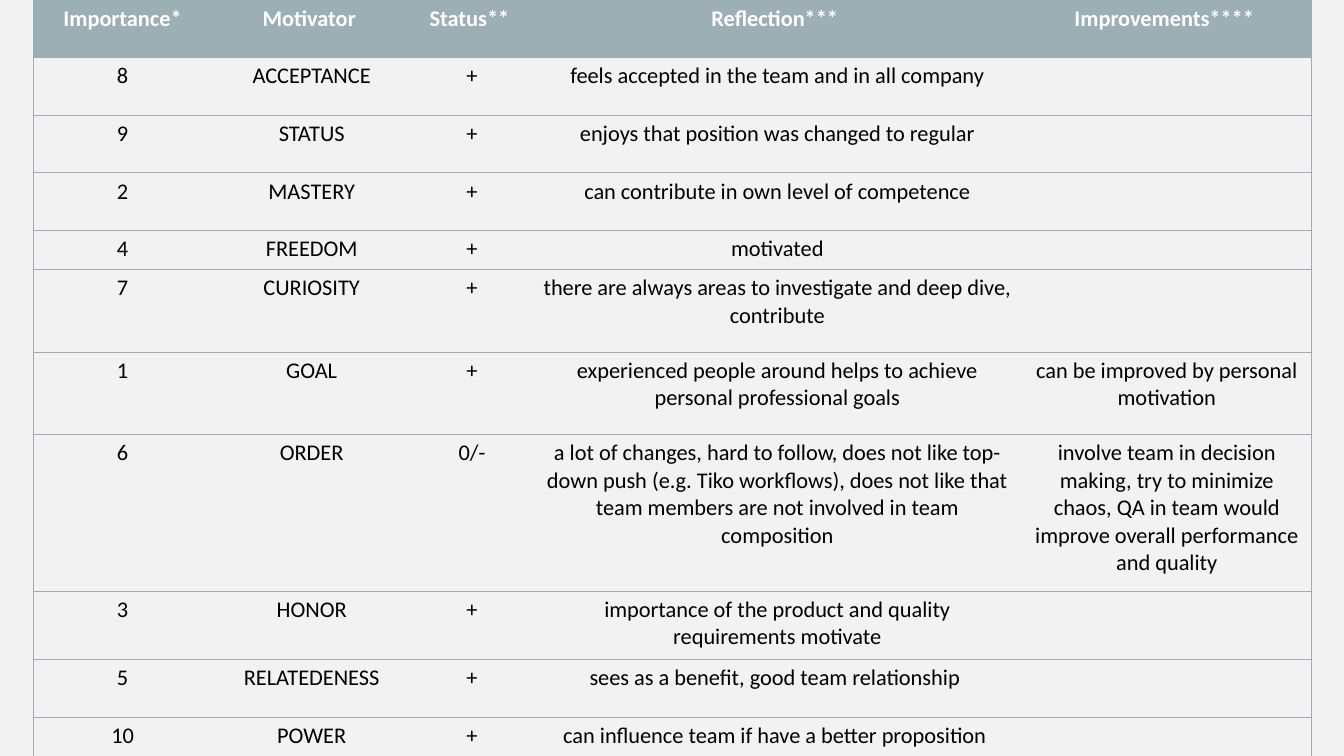
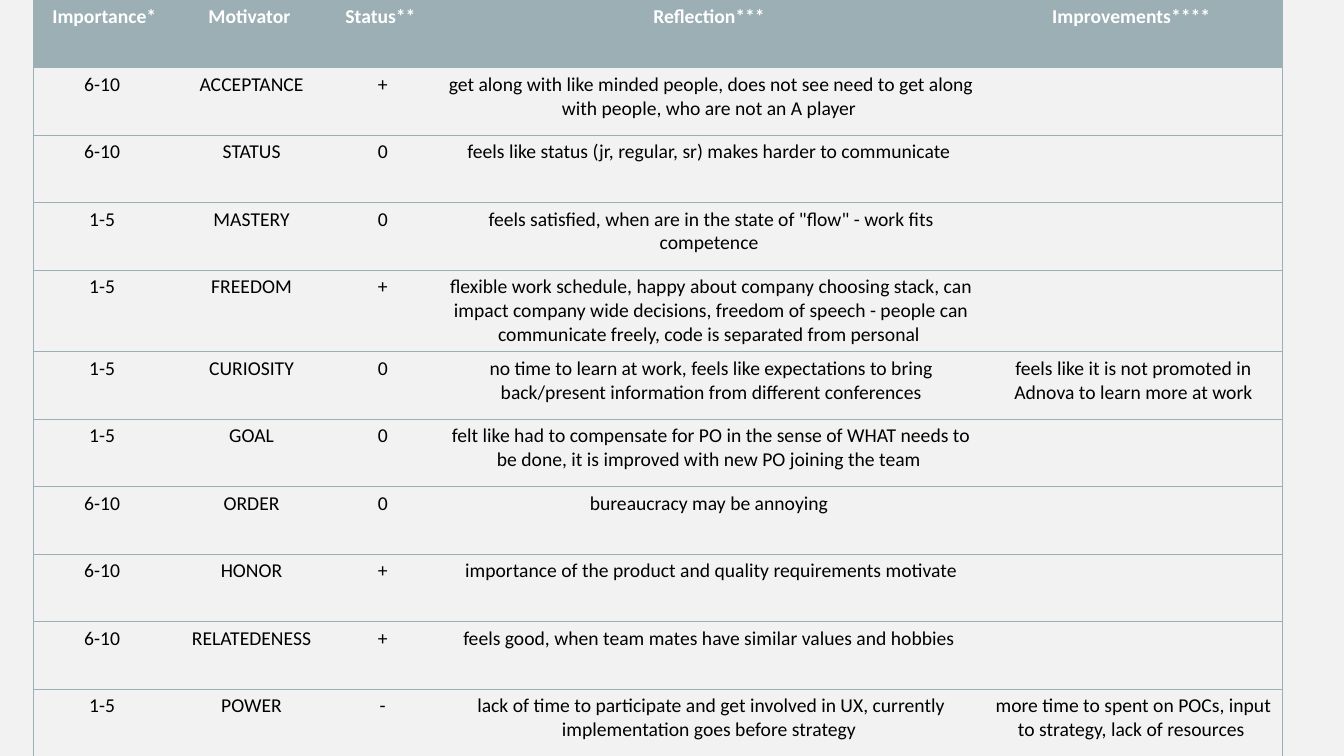
from lxml.etree import SubElement
from pptx import Presentation
from pptx.dml.color import RGBColor
from pptx.enum.text import PP_ALIGN
from pptx.oxml.ns import qn
from pptx.util import Cm, Pt

HUES = {"back": "F2F2F2", "band": "9BAFB5", "head": "FFFFFF", "body": "000000"}
HEADS = ["Importance*", "Motivator ", "Status** ", "Reflection*** ", "Improvements**** "]
DRIVES = ["ACCEPTANCE", "STATUS", "MASTERY", "FREEDOM", "CURIOSITY",
          "GOAL", "ORDER", "HONOR", "RELATEDENESS", "POWER"]


class Deck:
    """Holds the shared style and the current slide."""

    def __init__(self):
        self.prs = Presentation()
        self.prs.slide_width, self.prs.slide_height = Cm(33.87), Cm(19.05)
        self.slide = None

    def hue(self, name):
        return RGBColor.from_string(HUES[name])

    def page(self):
        self.slide = self.prs.slides.add_slide(self.prs.slide_layouts[6])
        fill = self.slide.background.fill
        fill.solid()
        fill.fore_color.rgb = self.hue("back")

    def edges(self, cell, sides):
        """Draw a thin line on the named sides and none on the others."""
        props = cell._tc.get_or_add_tcPr()
        for side in "LRTB":
            line = SubElement(props, qn(f"a:ln{side}"), w=str(Pt(0.5)))
            if side in sides:
                paint = SubElement(line, qn("a:solidFill"))
                SubElement(paint, qn("a:srgbClr"), val=HUES["band"])
            else:
                SubElement(line, qn("a:noFill"))

    def label(self, cell, text, size, head):
        para = cell.text_frame.paragraphs[0]
        para.alignment = PP_ALIGN.CENTER
        if not text:
            SubElement(para._p, qn("a:endParaRPr"), sz=str(size * 100))
            return
        run = para.add_run()
        run.text = text
        form = {"name": "Calibri", "size": Pt(size), "bold": head}
        for key, value in form.items():
            setattr(run.font, key, value)
        run.font.color.rgb = self.hue("head" if head else "body")

    def table(self, size, widths, highs, rows):
        frame = self.slide.shapes.add_table(
            len(rows), len(widths), Cm(0.84), Cm(0), Cm(sum(widths)), Cm(sum(highs)))
        grid = frame.table
        grid.first_row = grid.horz_banding = False
        for col, width in zip(grid.columns, widths):
            col.width = Cm(width)
        for row, high in zip(grid.rows, highs):
            row.height = Cm(high)
        last = len(widths) - 1
        for r, texts in enumerate(rows):
            for c, text in enumerate(texts):
                cell = grid.cell(r, c)
                self.edges(cell, "TB" + "L" * (c == 0) + "R" * (c == last))
                if r == 0:
                    cell.fill.solid()
                    cell.fill.fore_color.rgb = self.hue("band")
                else:
                    cell.fill.background()
                self.label(cell, text, size, r == 0)

    def review(self, size, widths, highs, notes):
        """Add a slide with one motivator table; notes follow DRIVES."""
        self.page()
        rows = [[rank, drive, *rest] for drive, (rank, *rest) in zip(DRIVES, notes)]
        self.table(size, widths, highs, [HEADS] + rows)


# First person: rank, status, reflection, improvement
FIRST = [
    ("8", "+", "feels accepted in the team and in all company", ""),
    ("9", "+", "enjoys that position was changed to regular", ""),
    ("2", "+", "can contribute in own level of competence", ""),
    ("4", "+", "motivated", ""),
    ("7", "+", "there are always areas to investigate and deep dive, contribute", ""),
    ("1", "+", "experienced people around helps to achieve personal professional goals",
     "can be improved by personal motivation"),
    ("6", "0/-", "a lot of changes, hard to follow, does not like top-down push "
     "(e.g. Tiko workflows), does not like that team members are not involved "
     "in team composition",
     "involve team in decision making, try to minimize chaos, QA in team would "
     "improve overall performance and quality"),
    ("3", "+", "importance of the product and quality requirements motivate", ""),
    ("5", "+", "sees as a benefit, good team relationship ", ""),
    ("10", "+", "can influence team if have a better proposition ", ""),
]

# Second person
LOW, HIGH = "1-5 ", "6-10 "
SECOND = [
    (HIGH, "+", "get along with like minded people, does not see need to get along "
     "with people, who are not an A player ", ""),
    (HIGH, "0", "feels like status (jr, regular, sr) makes harder to communicate ", ""),
    (LOW, "0", "feels satisfied, when are in the state of \"flow\" - work fits "
     "competence ", ""),
    (LOW, "+", "flexible work schedule, happy about company choosing stack, can "
     "impact company wide decisions, freedom of speech - people "
     "can communicate freely, code is separated from personal ", ""),
    (LOW, "0", "no time to learn at work, feels like expectations to bring "
     "back/present information from different conferences",
     "feels like it is not promoted in Adnova to learn more at work"),
    (LOW, "0", "felt like had to compensate for PO in the sense of WHAT needs to "
     "be done, it is improved with new PO joining the team ", ""),
    (HIGH, "0", "bureaucracy may be annoying ", ""),
    (HIGH, "+", "importance of the product and quality requirements motivate", ""),
    (HIGH, "+", "feels good, when team mates have similar values and hobbies ", ""),
    (LOW, "-", "lack of time to participate and get involved in UX, currently "
     "implementation goes before strategy ",
     "more time to spent on POCs, input to strategy, lack of resources "),
]


def main():
    deck = Deck()
    deck.review(16, [4.5, 5.03, 3.05, 12.34, 7.29],
                [1.45] * 4 + [0.99, 2.08, 2.08, 3.94, 1.73, 1.45, 0.99], FIRST)
    deck.review(14, [3.58, 3.84, 2.77, 13.79, 7.49],
                [1.7] * 4 + [2.01] + [1.7] * 6, SECOND)
    deck.prs.save("out.pptx")


if __name__ == "__main__":
    main()
